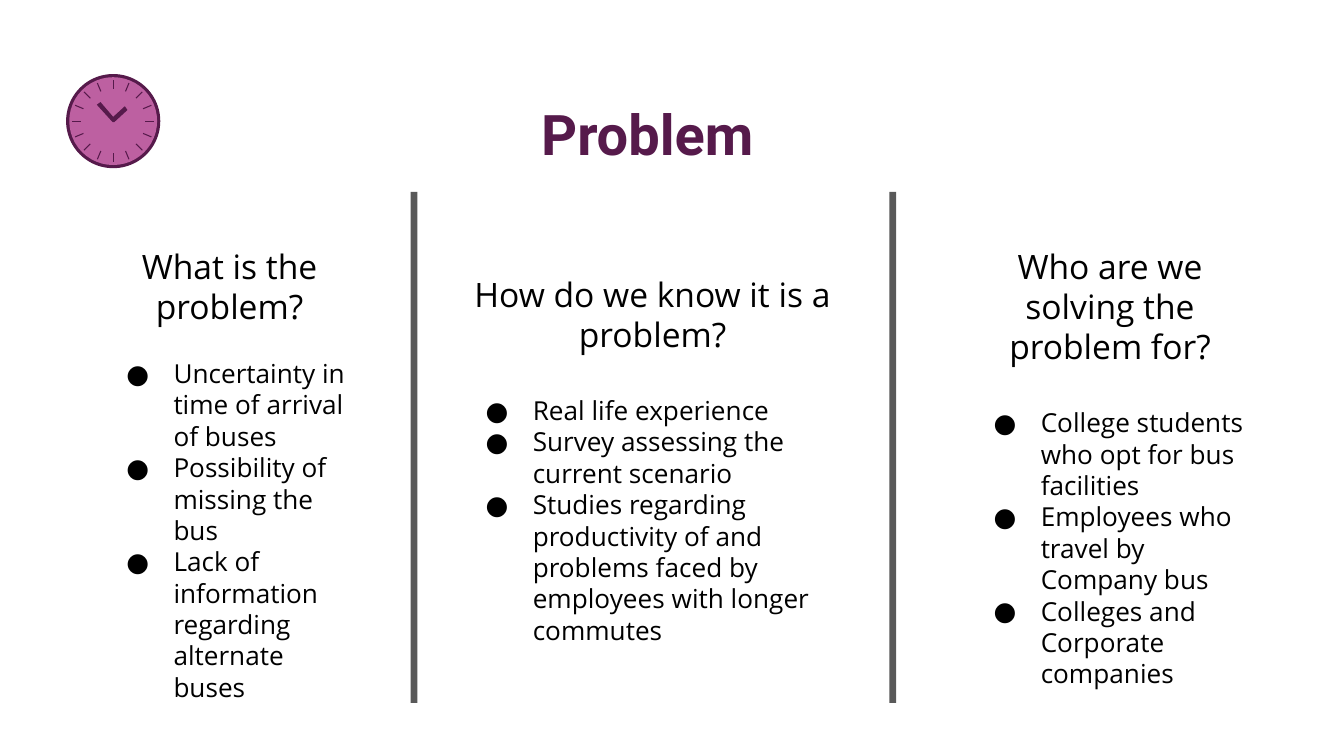
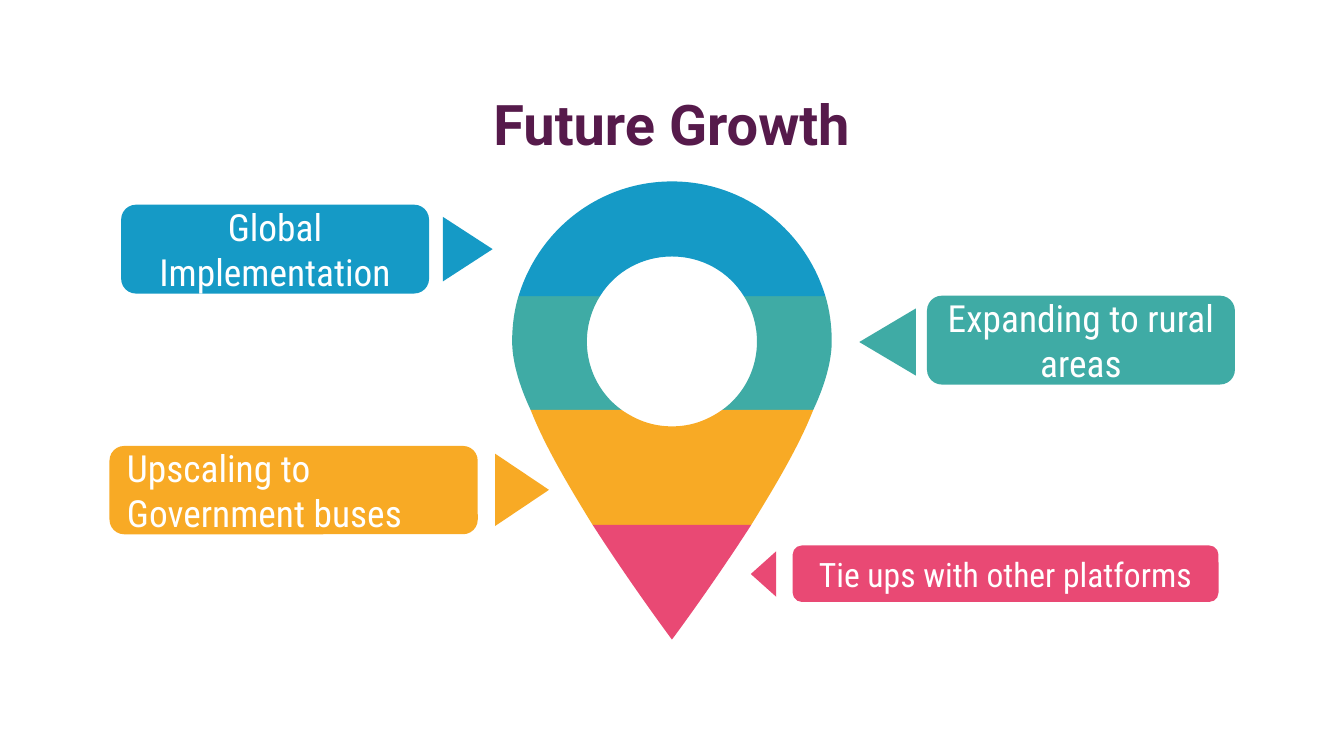
from dataclasses import dataclass
from math import cos, pi, sin

from lxml.etree import SubElement
from pptx import Presentation
from pptx.dml.color import RGBColor
from pptx.enum.shapes import MSO_SHAPE
from pptx.enum.text import MSO_ANCHOR, PP_ALIGN
from pptx.oxml.ns import qn
from pptx.util import Cm, Pt


@dataclass(frozen=True)
class Theme:
    plum: str = "561A4B"
    orchid: str = "BD60A1"
    grey: str = "595959"
    blue: str = "159AC6"
    teal: str = "3FABA5"
    yellow: str = "F8AA25"
    pink: str = "E94974"
    black: str = "000000"
    white: str = "FFFFFF"
    title_font: str = "Roboto"
    body_font: str = "Open Sans"
    label_font: str = "Roboto Condensed"
    title_size: int = 30
    label_size: int = 20
    heading_size: int = 18
    bullet_size: int = 14


theme = Theme()
painted = []  # (shape, colour) pairs, filled at the end


def style_paragraph(para, font, size, color, align=PP_ALIGN.CENTER, bold=False):
    para.alignment = align
    for span in para.runs:
        span.font.name = font
        span.font.size = Pt(size)
        span.font.bold = bold
        span.font.color.rgb = RGBColor.from_string(color)


def draw_outline(page, chains, color):
    """Add a closed outline of chains joined by straight lines.

    A chain is a point in centimetres, then three points for each cubic curve.
    """
    steps = []
    for chain in chains:
        if not steps or steps[-1][-1] != chain[0]:
            steps.append(chain[:1])
        steps += [chain[i:i + 3] for i in range(1, len(chain), 3)]
    corners = [(Cm(step[-1][0]), Cm(step[-1][1])) for step in steps]
    builder = page.shapes.build_freeform(*corners[0])
    builder.add_line_segments(corners[1:], close=True)
    shape = builder.convert_to_shape()
    segments = list(shape._element.iter(qn("a:lnTo")))
    for segment, step in zip(segments, steps[1:]):
        if len(step) == 3:
            curve = SubElement(segment.getparent(), qn("a:cubicBezTo"))
            for x, y in step:
                SubElement(curve, qn("a:pt"), x=str(Cm(x) - shape.left),
                           y=str(Cm(y) - shape.top))
            segment.getparent().replace(segment, curve)
    painted.append((shape, color))


deck = Presentation()
deck.slide_width, deck.slide_height = Cm(25.4), Cm(14.29)

# Pages with their titles
pages = []
for title, left, top, width in [
    ("Problem", 6.89, 1.63, 10.69),
    ("Future Growth", 1.99, 1.45, 21.41),
]:
    page = deck.slides.add_slide(deck.slide_layouts[6])
    page.background.fill.solid()
    page.background.fill.fore_color.rgb = RGBColor.from_string(theme.white)
    box = page.shapes.add_textbox(Cm(left), Cm(top), Cm(width), Cm(1.32))
    frame = box.text_frame
    frame.word_wrap = True
    frame.margin_top = frame.margin_bottom = Cm(0.25)
    frame.text = title
    style_paragraph(frame.paragraphs[0], theme.title_font, theme.title_size,
                    theme.plum, bold=True)
    pages.append(page)
problem_page, growth_page = pages

# Problem: column dividers
for left in (7.76, 16.81):
    divider = problem_page.shapes.add_shape(
        MSO_SHAPE.RECTANGLE, Cm(left), Cm(3.63), Cm(0.13), Cm(9.66))
    painted.append((divider, theme.grey))

# Problem: three columns, each a heading with bullets
columns = [
    (1.76, 4.39, 5.16, 16.8, "What is the problem?", [
        "Uncertainty in time of arrival of buses",
        "Possibility of missing the bus",
        "Lack of information regarding alternate buses"]),
    (8.55, 4.92, 7.57, 21.6, "How do we know it is a problem?", [
        "Real life experience",
        "Survey assessing the current scenario",
        "Studies regarding productivity of and problems faced by "
        "employees with longer commutes"]),
    (18.15, 4.39, 5.66, 21.6, "Who are we solving the problem for?", [
        "College students who opt for bus facilities",
        "Employees who travel by Company bus",
        "Colleges and Corporate companies"]),
]
for left, top, width, heading_gap, heading, bullets in columns:
    box = problem_page.shapes.add_textbox(Cm(left), Cm(top), Cm(width), Cm(4.06))
    frame = box.text_frame
    frame.word_wrap = True
    frame.margin_top = frame.margin_bottom = Cm(0.25)
    frame.text = heading
    style_paragraph(frame.paragraphs[0], theme.body_font, theme.heading_size,
                    theme.black)
    for index, bullet in enumerate(bullets):
        para = frame.add_paragraph()
        para.text = bullet
        style_paragraph(para, theme.body_font, theme.bullet_size, theme.black,
                        PP_ALIGN.LEFT)
        para.space_before = Pt(0 if index else heading_gap)
        properties = para._p.get_or_add_pPr()
        properties.set("marL", str(Cm(1.27)))
        properties.set("indent", str(Cm(-0.89)))
        bullet_color = SubElement(properties, qn("a:buClr"))
        SubElement(bullet_color, qn("a:srgbClr"), val=theme.black)
        SubElement(properties, qn("a:buFont"), typeface=theme.body_font)
        SubElement(properties, qn("a:buChar"), char="●")

# Problem: clock with a rim, a face, sixteen ticks and two hands
clock_x, clock_y = 2.14, 2.29
for radius, color in [(0.89, theme.plum), (0.83, theme.orchid)]:
    disc = problem_page.shapes.add_shape(
        MSO_SHAPE.OVAL, Cm(clock_x - radius), Cm(clock_y - radius),
        Cm(2 * radius), Cm(2 * radius))
    painted.append((disc, color))

tick_count, tick_half_width = 16, 0.01
for tick in range(tick_count):
    angle = 2 * pi * tick / tick_count
    corners = [(0.61, -tick_half_width), (0.78, -tick_half_width),
               (0.78, tick_half_width), (0.61, tick_half_width)]
    draw_outline(problem_page,
                 [[(clock_x + along * cos(angle) - across * sin(angle),
                    clock_y + along * sin(angle) + across * cos(angle))]
                  for along, across in corners], theme.plum)

hands = [(1.9, 1.93), (1.83, 1.98), (2.13, 2.31), (2.16, 2.31),
         (2.41, 2.08), (2.36, 2.01), (2.14, 2.21)]
draw_outline(problem_page, [[corner] for corner in hands], theme.plum)

# Growth: right half of the map pin as cubic curves, x measured from its axis
pin_x = 12.7
outer_blue = [(0, 3.43), (1.35, 3.43), (2.51, 4.32), (2.9, 5.6)]
outer_teal = [(2.9, 5.6), (2.98, 5.86), (3.02, 6.16), (3.02, 6.45),
              (3.02, 6.81), (2.9, 7.26), (2.67, 7.75)]
outer_yellow = [(2.67, 7.75), (2.39, 8.46), (1.93, 9.22), (1.5, 9.92)]
outer_pink = [(1.5, 9.92), (0.74, 11.1), (0, 12.09), (0, 12.09)]
hole_blue = [(0, 4.85), (0.56, 4.85), (1.07, 5.13), (1.36, 5.6)]
hole_teal = [(1.36, 5.6), (1.81, 6.32), (1.63, 7.26), (0.95, 7.75)]
hole_yellow = [(0.95, 7.75), (0.66, 7.95), (0.36, 8.06), (0, 8.06)]

# The teal band is split by the hole; the others run across the axis
for color, half, split in [
    (theme.teal, [outer_teal, hole_teal[::-1]], True),
    (theme.yellow, [hole_yellow[::-1], outer_yellow], False),
    (theme.pink, [outer_pink], False),
    (theme.blue, [outer_blue, hole_blue[::-1]], False),
]:
    right = [[(pin_x + x, y) for x, y in chain] for chain in half]
    left = [[(pin_x - x, y) for x, y in chain[::-1]] for chain in half[::-1]]
    for outline in [left, right] if split else [right + left]:
        draw_outline(growth_page, outline, color)

# Growth: labels with arrows; an arrow's width and height are before rotation
labels = [
    ("Global Implementation", theme.blue, theme.label_size, PP_ALIGN.CENTER,
     (2.29, 3.87, 5.82, 1.68), (8.23, 4.24, 1.22, 0.94), 90),
    ("Upscaling to Government buses", theme.yellow, theme.label_size, PP_ALIGN.LEFT,
     (2.07, 8.43, 6.96, 1.67), (9.18, 8.75, 1.37, 1.02), 90),
    ("Expanding to rural areas", theme.teal, theme.label_size, PP_ALIGN.CENTER,
     (17.52, 5.59, 5.82, 1.68), (16.14, 5.93, 1.27, 1.07), 270),
    ("Tie ups with other platforms", theme.pink, theme.heading_size, PP_ALIGN.CENTER,
     (14.98, 10.31, 8.05, 1.07), (14, 10.61, 0.86, 0.48), 270),
]
for text, color, size, align, label_place, arrow_place, rotation in labels:
    arrow = growth_page.shapes.add_shape(
        MSO_SHAPE.ISOSCELES_TRIANGLE, *map(Cm, arrow_place))
    arrow.rotation = rotation
    label = growth_page.shapes.add_shape(
        MSO_SHAPE.ROUNDED_RECTANGLE, *map(Cm, label_place))
    frame = label.text_frame
    frame.word_wrap = True
    frame.vertical_anchor = MSO_ANCHOR.MIDDLE
    frame.margin_top = frame.margin_bottom = Cm(0.25)
    frame.text = text
    style_paragraph(frame.paragraphs[0], theme.label_font, size, theme.white, align)
    painted += [(arrow, color), (label, color)]

for shape, color in painted:
    shape.shadow.inherit = False
    shape.fill.solid()
    shape.fill.fore_color.rgb = RGBColor.from_string(color)
    shape.line.fill.background()

deck.save("out.pptx")
